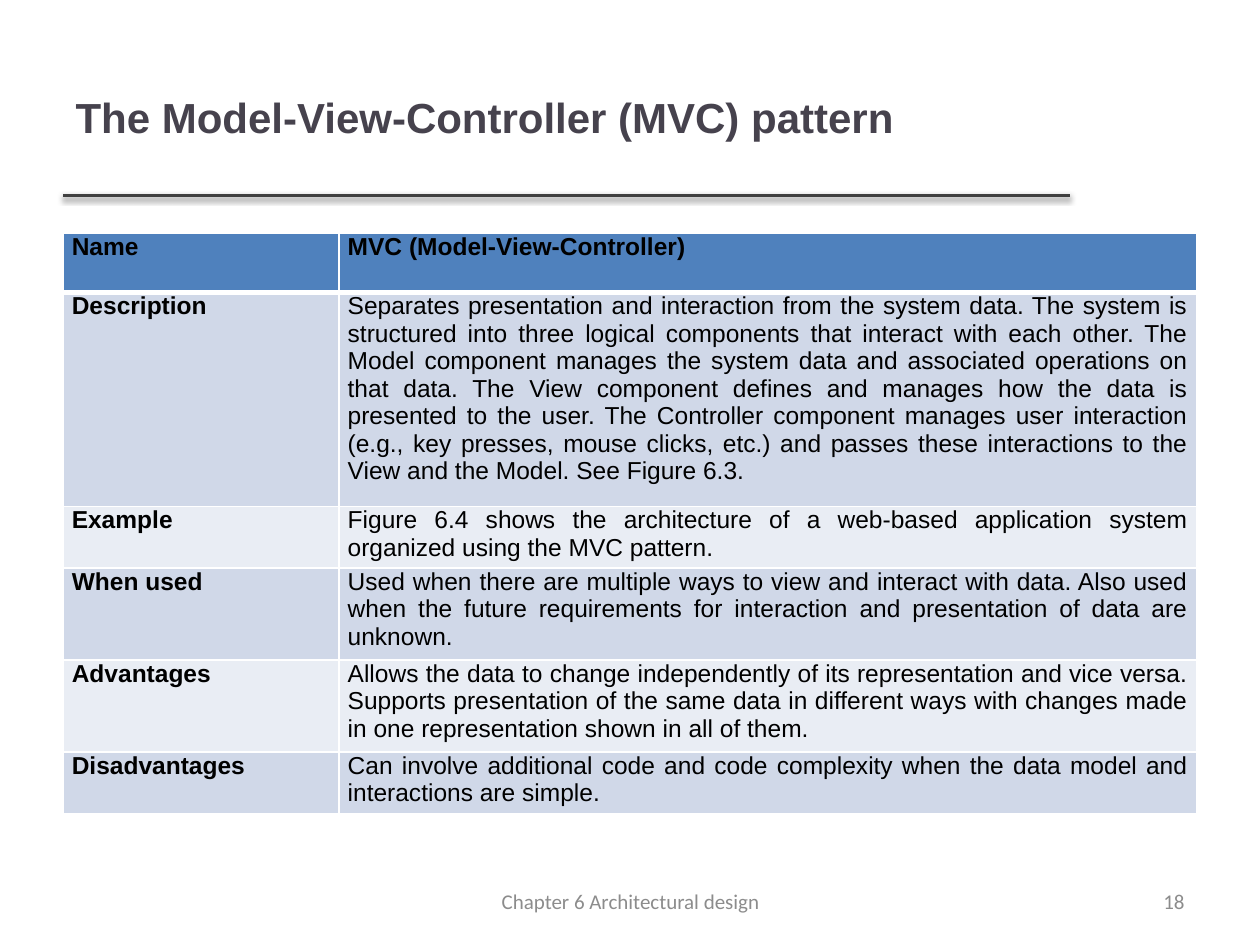
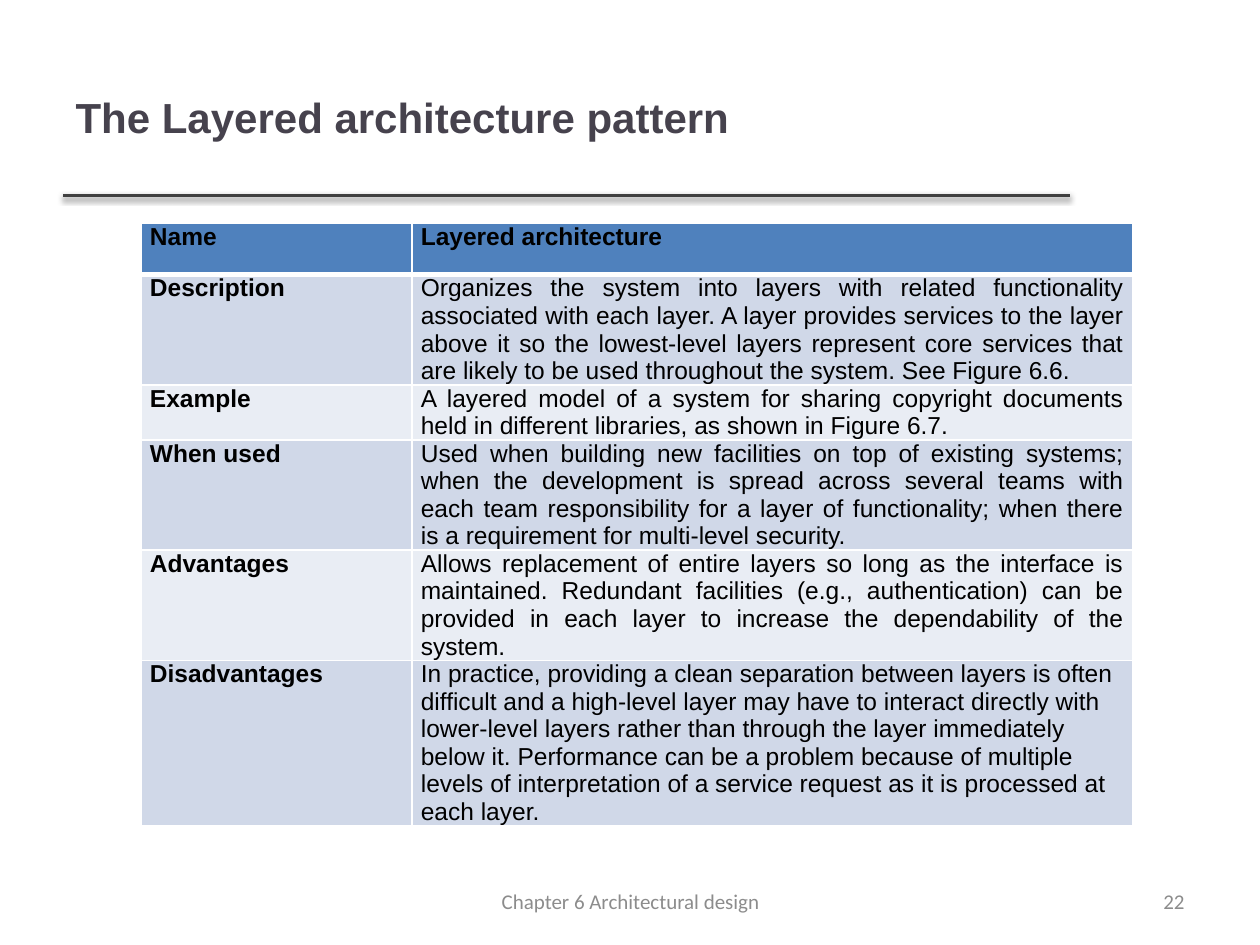
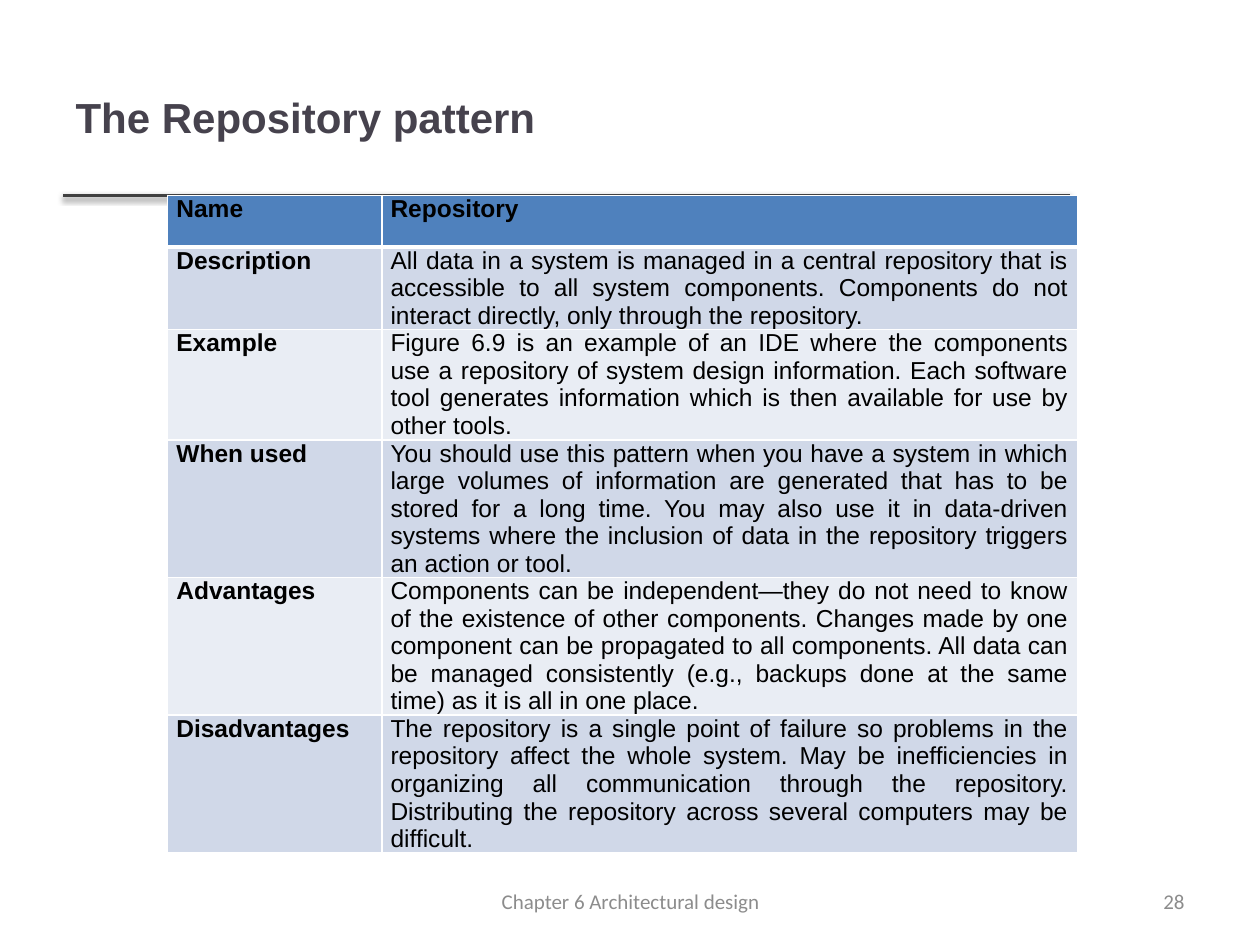
import dataclasses

import lxml.etree
import pptx
import pptx.dml.color
import pptx.enum.shapes
import pptx.enum.text
import pptx.oxml
import pptx.oxml.ns
import pptx.util

Inches = pptx.util.Inches
Pt = pptx.util.Pt
Align = pptx.enum.text.PP_ALIGN
Anchor = pptx.enum.text.MSO_ANCHOR
qn = pptx.oxml.ns.qn


@dataclasses.dataclass(frozen=True)
class Theme:
    title: str = "46424D"
    rule: str = "404040"
    footer: str = "8C8C8C"
    text: str = "000000"
    border: str = "FFFFFF"
    header: str = "4F81BD"
    bands: tuple = ("D0D8E8", "E9EDF4")
    font: str = "Arial"
    footer_font: str = "Calibri"
    title_size: int = 24
    table_size: int = 14
    footer_size: int = 12
    border_width: float = 1
    header_border_width: float = 3


THEME = Theme()
TITLE_BOX = (0.5, 0.3, 7.98, 1.25)
RULE_BOX = (0.5, 1.55, 7.99, 0)
FOOTER_BOX = (3.42, 6.95, 3.17, 0.4)
NUMBER_BOX = (7.17, 6.95, 2.33, 0.4)
FOOTER = "Chapter 6 Architectural design"
ROW_NAMES = ("Name", "Description", "Example", "When used", "Advantages", "Disadvantages")

PATTERNS = [
    dict(
        title="The Model-View-Controller (MVC) pattern",
        number=18,
        box=(0.5, 1.85, 9, 4.6),
        columns=(2.19, 6.81),
        rows=(0.47, 1.7, 0.49, 0.73, 0.73, 0.49),
        entries=(
            "MVC (Model-View-Controller)",
            "Separates presentation and interaction from the system data. The system is "
            "structured into three logical components that interact with each other. The "
            "Model component manages the system data and associated operations on that data. "
            "The View component defines and manages how the data is presented to the user. "
            "The Controller component manages user interaction (e.g., key presses, mouse "
            "clicks, etc.) and passes these interactions to the View and the Model. "
            "See Figure 6.3.",
            "Figure 6.4 shows the architecture of a web-based application system organized "
            "using the MVC pattern.",
            "Used when there are multiple ways to view and interact with data. Also used when "
            "the future requirements for interaction and presentation of data are unknown.",
            "Allows the data to change independently of its representation and vice versa. "
            "Supports presentation of the same data in different ways with changes made in "
            "one representation shown in all of them.",
            "Can involve additional code and code complexity when the data model and "
            "interactions are simple.",
        ),
    ),
    dict(
        title="The Layered architecture pattern",
        number=22,
        box=(1.12, 1.77, 7.86, 5.07),
        columns=(2.15, 5.72),
        rows=(0.41,) * 6,
        last_align=Align.LEFT,
        entries=(
            "Layered architecture",
            "Organizes the system into layers with related functionality associated with each "
            "layer. A layer provides services to the layer above it so the lowest-level layers "
            "represent core services that are likely to be used throughout the system. "
            "See Figure 6.6.",
            "A layered model of a system for sharing copyright documents held in different "
            "libraries, as shown in Figure 6.7.",
            "Used when building new facilities on top of existing systems; when the "
            "development is spread across several teams with each team responsibility for a "
            "layer of functionality; when there is a requirement for multi-level security.",
            "Allows replacement of entire layers so long as the interface is maintained. "
            "Redundant facilities (e.g., authentication) can be provided in each layer to "
            "increase the dependability of the system.",
            "In practice, providing a clean separation between layers is often difficult and "
            "a high-level layer may have to interact directly with lower-level layers rather "
            "than through the layer immediately below it. Performance can be a problem because "
            "of multiple levels of interpretation of a service request as it is processed at "
            "each layer.",
        ),
    ),
    dict(
        title="The Repository pattern",
        number=28,
        box=(1.33, 1.55, 7.21, 5.54),
        columns=(1.7, 5.52),
        rows=(0.41,) * 6,
        entries=(
            "Repository",
            "All data in a system is managed in a central repository that is accessible to all "
            "system components. Components do not interact directly, only through the "
            "repository.",
            "Figure 6.9 is an example of an IDE where the components use a repository of "
            "system design information. Each software tool generates information which is "
            "then available for use by other tools.",
            "You should use this pattern when you have a system in which large volumes of "
            "information are generated that has to be stored for a long time. You may also use "
            "it in data-driven systems where the inclusion of data in the repository triggers "
            "an action or tool.",
            "Components can be independent\u2014they do not need to know of the existence of "
            "other components. Changes made by one component can be propagated to all "
            "components. All data can be managed consistently (e.g., backups done at the same "
            "time) as it is all in one place.",
            "The repository is a single point of failure so problems in the repository affect "
            "the whole system. May be inefficiencies in organizing all communication through "
            "the repository. Distributing the repository across several computers may be "
            "difficult.",
        ),
    ),
]


def rgb(value):
    return pptx.dml.color.RGBColor.from_string(value)


def write_text(frame, text, *, size, color, font=THEME.font, bold=False, align=Align.LEFT):
    """Fill a text frame with one formatted paragraph."""
    frame.word_wrap = True
    paragraph = frame.paragraphs[0]
    paragraph.alignment = align
    run = paragraph.add_run()
    run.text = text
    run.font.name = font
    run.font.size = Pt(size)
    run.font.bold = bold
    run.font.color.rgb = rgb(color)


def add_rule(slide, box):
    """Dark line under the title, with a soft shadow below it."""
    left, top, width, height = box
    rule = slide.shapes.add_connector(
        pptx.enum.shapes.MSO_CONNECTOR.STRAIGHT,
        Inches(left), Inches(top), Inches(left + width), Inches(top + height))
    rule.line.color.rgb = rgb(THEME.rule)
    rule.line.width = Pt(2)
    effects = lxml.etree.SubElement(rule._element.spPr, qn("a:effectLst"))
    shadow = lxml.etree.SubElement(
        effects, qn("a:outerShdw"), blurRad=str(Pt(3.1)), dist=str(Pt(1.6)),
        dir="5400000", rotWithShape="0")
    color = lxml.etree.SubElement(shadow, qn("a:srgbClr"), val="000000")
    lxml.etree.SubElement(color, qn("a:alpha"), val="38000")


def place_title(slide, text, box):
    title = slide.shapes.title
    title.left, title.top, title.width, title.height = map(Inches, box)
    title.text_frame.vertical_anchor = Anchor.MIDDLE
    write_text(title.text_frame, text, size=THEME.title_size, color=THEME.title, bold=True)


def add_footer(slide, text, box, align):
    footer = slide.shapes.add_textbox(*map(Inches, box))
    footer.text_frame.vertical_anchor = Anchor.MIDDLE
    write_text(footer.text_frame, text, size=THEME.footer_size, color=THEME.footer,
               font=THEME.footer_font, align=align)


def set_borders(cell, top, bottom):
    """Border lines come before the fill in the cell properties."""
    properties = cell._tc.get_or_add_tcPr()
    widths = dict(lnL=THEME.border_width, lnR=THEME.border_width, lnT=top, lnB=bottom)
    for index, (side, width) in enumerate(widths.items()):
        line = lxml.etree.Element(qn("a:" + side), w=str(Pt(width)))
        fill = lxml.etree.SubElement(line, qn("a:solidFill"))
        lxml.etree.SubElement(fill, qn("a:srgbClr"), val=THEME.border)
        properties.insert(index, line)


def add_pattern_table(slide, box, columns, rows, entries, last_align):
    """Two columns: the row name in bold, and what the pattern says for it."""
    frame = slide.shapes.add_table(len(rows), len(columns), *map(Inches, box))
    table = frame.table
    table.horz_banding = False
    for column, width in zip(table.columns, columns):
        column.width = Inches(width)
    for row, height in zip(table.rows, rows):
        row.height = Inches(height)
    frame.height = Inches(box[3])

    last = len(rows) - 1
    for row_index, texts in enumerate(zip(ROW_NAMES, entries)):
        is_header = row_index == 0
        fill = THEME.header if is_header else THEME.bands[(row_index - 1) % 2]
        top = THEME.header_border_width if row_index == 1 else THEME.border_width
        bottom = THEME.header_border_width if is_header else THEME.border_width
        for column_index, text in enumerate(texts):
            cell = table.cell(row_index, column_index)
            cell.margin_left = cell.margin_right = Inches(0.07)
            cell.margin_top = cell.margin_bottom = 0
            cell.fill.solid()
            cell.fill.fore_color.rgb = rgb(fill)
            set_borders(cell, top, bottom)
            is_last_entry = row_index == last and column_index == 1
            write_text(cell.text_frame, text, size=THEME.table_size, color=THEME.text,
                       bold=is_header or column_index == 0,
                       align=last_align if is_last_entry else Align.JUSTIFY)


def add_pattern_slide(presentation, title, number, box, columns, rows, entries,
                      last_align=Align.JUSTIFY):
    slide = presentation.slides.add_slide(presentation.slide_layouts[5])
    add_rule(slide, RULE_BOX)
    place_title(slide, title, TITLE_BOX)
    add_pattern_table(slide, box, columns, rows, entries, last_align)
    add_footer(slide, str(number), NUMBER_BOX, Align.RIGHT)
    add_footer(slide, FOOTER, FOOTER_BOX, Align.CENTER)


presentation = pptx.Presentation()
presentation.slide_width = Inches(10)
presentation.slide_height = Inches(7.5)
for pattern in PATTERNS:
    add_pattern_slide(presentation, **pattern)
presentation.save("out.pptx")
